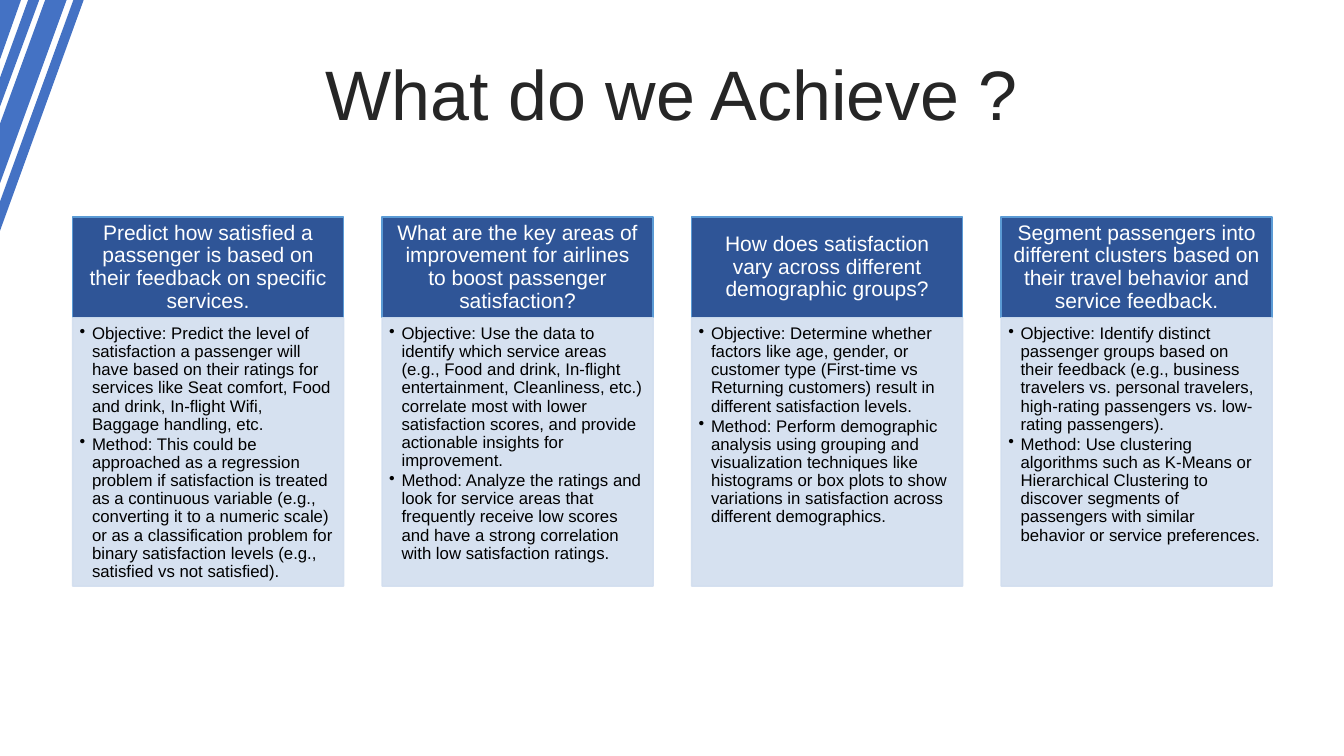
from lxml import etree
from pptx import Presentation
from pptx.dml.color import RGBColor
from pptx.enum.shapes import MSO_SHAPE
from pptx.enum.text import MSO_ANCHOR, MSO_AUTO_SIZE, PP_ALIGN
from pptx.oxml.ns import qn
from pptx.util import Cm, Pt

RECT = MSO_SHAPE.RECTANGLE
MIDDLE, TOP = MSO_ANCHOR.MIDDLE, MSO_ANCHOR.TOP
CENTER, LEFT = PP_ALIGN.CENTER, PP_ALIGN.LEFT
NO_AUTOFIT = MSO_AUTO_SIZE.NONE
TITLE_ONLY = 5

STRIPE_BLUE, HEAD_BLUE, HEAD_LINE = "4472C4", "2F5597", "5B9BD5"
PANEL_BLUE, TITLE_GREY, WHITE, BLACK = "D2DEEF", "262626", "FFFFFF", "000000"

# Outlines of the corner stripes, in cm
STRIPES = [
    [(1.85, 0), (2.11, 0), (0, 5.82), (0, 5.08)],
    [(0.99, 0), (0, 2.69), (0, 1.96), (0.71, 0)],
    [(1.68, 0), (0, 4.62), (0, 3.12), (1.14, 0)],
    [(0, 0), (0.53, 0), (0, 1.5)],
]

GOALS = [
    ("Predict how satisfied a passenger is based on their feedback on specific services.",
     ["Objective: Predict the level of satisfaction a passenger will have based on their "
      "ratings for services like Seat comfort, Food and drink, In-flight Wifi, "
      "Baggage handling, etc.",
      "Method: This could be approached as a regression problem if satisfaction is treated "
      "as a continuous variable (e.g., converting it to a numeric scale) or as a "
      "classification problem for binary satisfaction levels (e.g., satisfied vs not "
      "satisfied)."]),
    ("What are the key areas of improvement for airlines to boost passenger satisfaction?",
     ["Objective: Use the data to identify which service areas (e.g., Food and drink, "
      "In-flight entertainment, Cleanliness, etc.) correlate most with lower satisfaction "
      "scores, and provide actionable insights for improvement.",
      "Method: Analyze the ratings and look for service areas that frequently receive low "
      "scores and have a strong correlation with low satisfaction ratings."]),
    ("How does satisfaction vary across different demographic groups?",
     ["Objective: Determine whether factors like age, gender, or customer type (First-time "
      "vs Returning customers) result in different satisfaction levels.",
      "Method: Perform demographic analysis using grouping and visualization techniques "
      "like histograms or box plots to show variations in satisfaction across different "
      "demographics."]),
    ("Segment passengers into different clusters based on their travel behavior and "
     "service feedback.",
     ["Objective: Identify distinct passenger groups based on their feedback (e.g., "
      "business travelers vs. personal travelers, high-rating passengers vs. low-rating "
      "passengers).",
      "Method: Use clustering algorithms such as K-Means or Hierarchical Clustering to "
      "discover segments of passengers with similar behavior or service preferences."]),
]


def rgb(color):
    return RGBColor.from_string(color)


class SlideBuilder:
    font = "Arial"

    def __init__(self, slide):
        self.slide = slide

    def format_text(self, p, size, color, align, spacing):
        p.alignment = align
        p.line_spacing = spacing
        for r in p.runs:
            r.font.name = self.font
            r.font.size = Pt(size)
            r.font.color.rgb = rgb(color)

    def set_frame(self, tf, anchor, insets):
        tf.word_wrap = True
        tf.auto_size = NO_AUTOFIT
        tf.vertical_anchor = anchor
        (tf.margin_left, tf.margin_top,
         tf.margin_right, tf.margin_bottom) = [Cm(inset) for inset in insets]

    def title(self, text, x, y, w, h):
        sp = self.slide.shapes.title
        sp.left, sp.top, sp.width, sp.height = Cm(x), Cm(y), Cm(w), Cm(h)
        tf = sp.text_frame
        tf.text = text
        self.set_frame(tf, MIDDLE, (0.25, 0.13, 0.25, 0.13))
        self.format_text(tf.paragraphs[0], 50, TITLE_GREY, CENTER, 0.8)

    def stripes(self, outlines, color):
        builder = self.slide.shapes.build_freeform(
            *[Cm(v) for v in outlines[0][0]])
        for i, outline in enumerate(outlines):
            points = [(Cm(x), Cm(y)) for x, y in outline]
            if i:
                builder.move_to(*points[0])
            builder.add_line_segments(points[1:], close=True)
        sp = builder.convert_to_shape()
        sp.shadow.inherit = False
        sp.fill.solid()
        sp.fill.fore_color.rgb = rgb(color)
        sp.line.fill.background()

    def box(self, x, y, w, h, fill, line, opacity=100):
        sp = self.slide.shapes.add_shape(RECT, Cm(x), Cm(y), Cm(w), Cm(h))
        sp.shadow.inherit = False
        sp.fill.solid()
        sp.fill.fore_color.rgb = rgb(fill)
        sp.line.color.rgb = rgb(line)
        sp.line.width = Pt(1)
        if opacity < 100:
            for clr in sp._element.spPr.iter(qn("a:srgbClr")):
                etree.SubElement(clr, qn("a:alpha")).set("val", str(opacity * 1000))
        return sp

    def header(self, text, x, y, w, h):
        tf = self.box(x, y, w, h, HEAD_BLUE, HEAD_LINE).text_frame
        tf.text = text
        self.set_frame(tf, MIDDLE, (0.3, 0.18, 0.3, 0.18))
        self.format_text(tf.paragraphs[0], 15, WHITE, CENTER, 0.9)

    def bullet_panel(self, items, x, y, w, h):
        tf = self.box(x, y, w, h, PANEL_BLUE, PANEL_BLUE, opacity=90).text_frame
        tf.text = "\n".join(items)
        self.set_frame(tf, TOP, (0.18, 0.18, 0.23, 0.25))
        for p in tf.paragraphs:
            pPr = p._p.get_or_add_pPr()
            pPr.set("marL", str(Cm(0.31)))
            pPr.set("indent", str(-Cm(0.31)))
            etree.SubElement(pPr, qn("a:buChar")).set("char", "•")
            p.space_after = Pt(1.5)
            self.format_text(p, 12, BLACK, LEFT, 0.9)


def main():
    prs = Presentation()
    prs.slide_width, prs.slide_height = Cm(33.87), Cm(19.05)
    s = SlideBuilder(prs.slides.add_slide(prs.slide_layouts[TITLE_ONLY]))

    # Corner stripes and title
    s.stripes(STRIPES, STRIPE_BLUE)
    s.title("What do we Achieve ?", 0.86, 1.52, 32.16, 2.01)

    # Four goal columns
    left, top, width, pitch = 1.83, 5.47, 6.83, 7.8
    head_h, panel_h = 2.54, 6.76
    for i, (question, points) in enumerate(GOALS):
        x = left + i * pitch
        s.header(question, x, top, width, head_h)
        s.bullet_panel(points, x, top + head_h, width, panel_h)

    prs.save("out.pptx")


if __name__ == "__main__":
    main()
